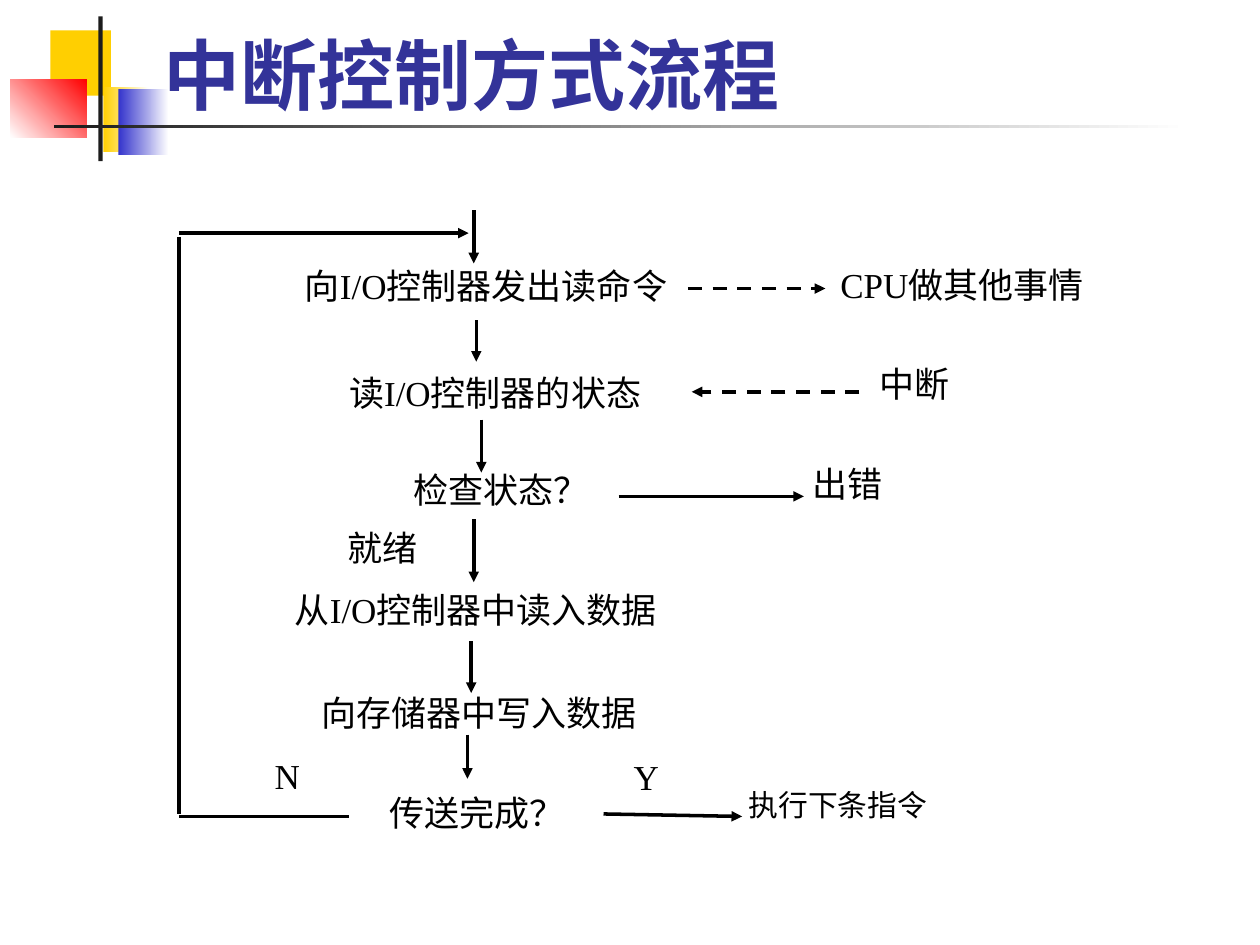
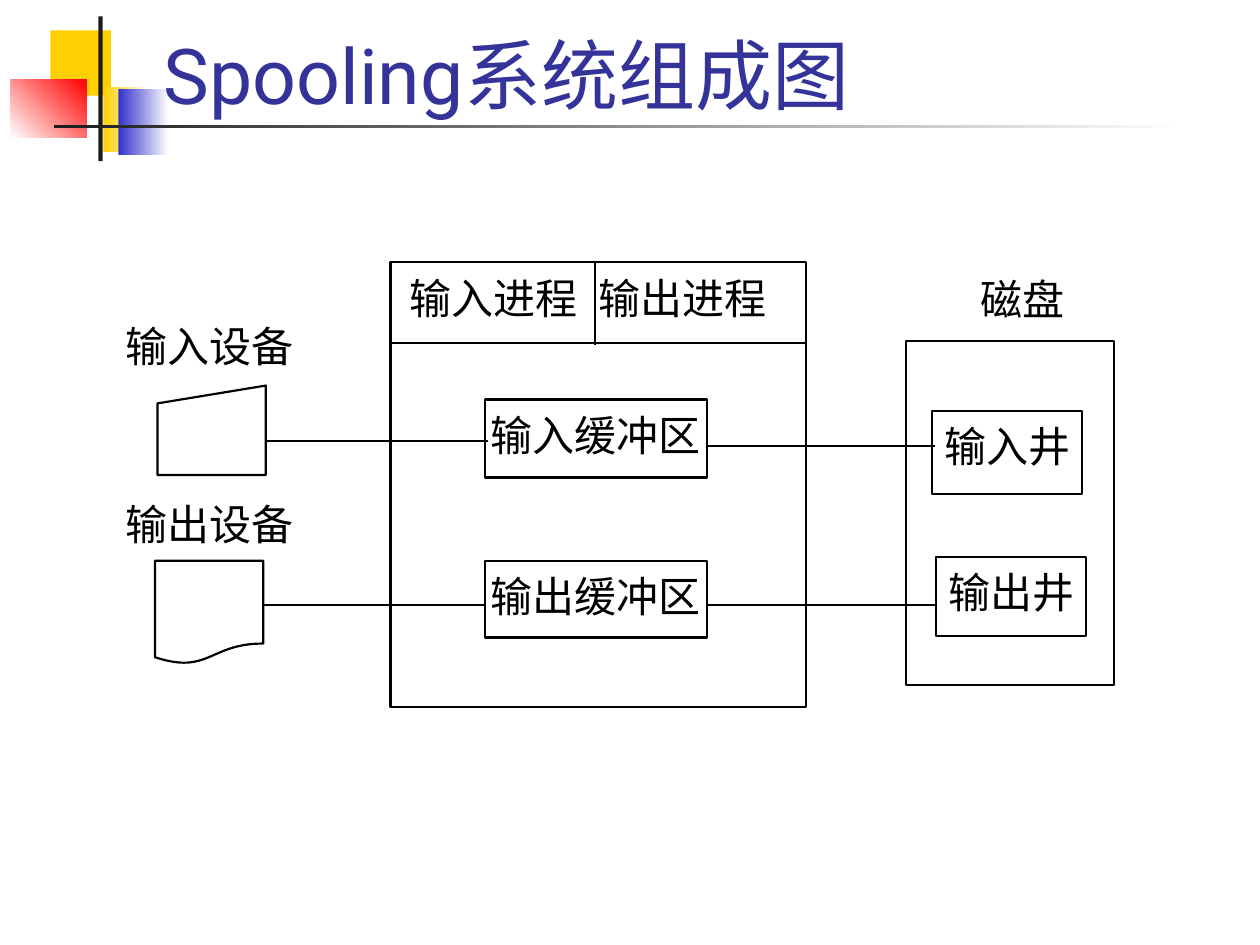
from dataclasses import dataclass
from typing import Optional

from lxml.etree import SubElement
from pptx import Presentation
from pptx.dml.color import RGBColor as RGB
from pptx.enum.dml import MSO_LINE as Dash
from pptx.enum.shapes import MSO_CONNECTOR as Conn, MSO_SHAPE as Geo
from pptx.enum.text import MSO_ANCHOR as Anchor, MSO_AUTO_SIZE as Auto, PP_ALIGN as Align
from pptx.oxml.ns import qn
from pptx.util import Inches, Pt

# The slide is a grid of 100 columns by 75 rows of square cells
WIDE, HIGH = Inches(10), Inches(7.5)
CELL = WIDE / 100
HEX = {"ink": "000000", "paper": "FFFFFF", "title": "333399", "gold": "FFCF01",
       "blue": "3333CC", "red": "FF0000", "bar": "1C1C1C"}
HEAD, BODY = "Roboto", "Times New Roman"


@dataclass
class Band:
    x: float
    y: float
    w: float
    h: float
    tone: str
    fade: Optional[str] = None
    turn: int = 0


@dataclass
class Label:
    x: float
    y: float
    w: float
    h: float
    text: str
    size: int = 20
    lead: Optional[float] = None


@dataclass
class Box:
    x: float
    y: float
    w: float
    h: float
    text: str = ""
    geo: Geo = Geo.RECTANGLE
    tabs: tuple = ()


@dataclass
class Wire:
    x1: float
    y1: float
    x2: float
    y2: float
    tip: bool = False
    dash: bool = False
    thick: float = 2


BANDS = [
    Band(4, 2.4, 4.8, 5.2, "gold"),
    Band(8.2, 6.9, 3.6, 5.2, "gold", "paper"),
    Band(9.4, 7.1, 4, 5.2, "blue", "paper"),
    Band(0.8, 6.3, 6.1, 4.6, "paper", "red", 45),
    Band(7.8, 1.3, 0.35, 11.5, "bar"),
    Band(4.3, 9.9, 90, 0.3, "bar", "paper"),
]

# Slide 1: steps, side notes and the arrows between them
STEPS = [
    Label(24.2, 21, 31.6, 3.9, "向I/O控制器发出读命令"),
    Label(27.7, 29.5, 28.2, 4, "读I/O控制器的状态"),
    Label(32.8, 37.2, 16.4, 4.1, "检查状态？"),
    Label(23.4, 46.7, 31.6, 4.4, "从I/O控制器中读入数据"),
    Label(25.5, 54.9, 27, 5, "向存储器中写入数据"),
    Label(30.9, 62.8, 15, 3.9, "传送完成？"),
]
NOTES = [
    Label(66.7, 20.9, 28.3, 4, "CPU做其他事情"),
    Label(69.8, 28.8, 8.8, 4.7, "中断"),
    Label(64.5, 36.7, 9.8, 4.7, "出错"),
    Label(27.6, 41.8, 8.4, 4.4, "就绪"),
    Label(21.8, 59.9, 4.3, 5.1, "N"),
    Label(50.3, 60, 4.3, 4.7, "Y"),
    Label(59.4, 62.8, 23.8, 2.9, "执行下条指令", 17, 0.9),
]
DOWNS = [(37.6, 16.7, 20.9), (37.8, 25.4, 28.7), (38.2, 33.3, 37.5),
         (37.6, 41.2, 46.2), (37.4, 50.9, 55), (37.1, 58.3, 61.8)]
FLOWS = [Wire(x, top, x, low, tip=True) for x, top, low in DOWNS] + [
    Wire(54.6, 22.9, 65.5, 22.9, tip=True, dash=True),
    Wire(68.2, 31.1, 54.9, 31.1, tip=True, dash=True),
    Wire(49.1, 39.4, 63.8, 39.4, tip=True),
    Wire(47.9, 64.6, 58.9, 64.8, tip=True),
    # Loop back to the first step
    Wire(27.7, 64.8, 14.2, 64.8),
    Wire(14.2, 18.8, 14.2, 64.6),
    Wire(14.2, 18.5, 37.2, 18.5, tip=True),
]

# Slide 2: devices, memory and disk
BOXES = [
    Box(31, 20.8, 33, 35.3, "输入进程\t输出进程", tabs=(1.5, 18.6)),
    Box(38.5, 31.7, 17.6, 6.2, "输入缓冲区"),
    Box(38.5, 44.5, 17.6, 6.1, "输出缓冲区"),
    Box(12.5, 30.6, 8.6, 7.1, geo=Geo.FLOWCHART_MANUAL_INPUT),
    Box(12.3, 44.5, 8.6, 8.2, geo=Geo.FLOWCHART_DOCUMENT),
    Box(71.9, 27.1, 16.5, 27.3),
    Box(74, 32.6, 11.9, 6.6, "输入井"),
    Box(74.3, 44.2, 11.9, 6.3, "输出井"),
]
NAMES = [
    Label(10, 25.4, 13.6, 4.6, "输入设备", 24),
    Label(10, 39.6, 13.6, 5.1, "输出设备", 24),
    Label(77.8, 21.7, 9.7, 5.1, "磁盘", 24),
]
LINKS = [Wire(*ends, thick=1.25) for ends in (
    (31, 27.2, 63.9, 27.2), (47.2, 20.8, 47.2, 27.4),
    (21.1, 35, 38.7, 35), (20.9, 48, 38.5, 48),
    (56.1, 35.4, 74.2, 35.4), (56, 48, 74.3, 48))]


def grid(*cells: float) -> list:
    return [round(n * CELL) for n in cells]


def tint(name: str) -> RGB:
    return RGB.from_string(HEX[name])


def write(para, text: str, size: int, face: str, tone: str, bold: bool = False) -> None:
    run = para.add_run()
    run.text = text
    font = run.font
    font.size, font.name, font.bold = Pt(size), face, bold
    font.color.rgb = tint(tone)


def inset(frame, top: float = 0) -> None:
    frame.word_wrap = True
    frame.vertical_anchor = Anchor.TOP
    frame.margin_left = frame.margin_right = frame.margin_bottom = 0
    frame.margin_top = Inches(top)


def add_band(slide, band: Band):
    shape = slide.shapes.add_shape(
        Geo.RECTANGLE, *grid(band.x, band.y, band.w, band.h))
    shape.shadow.inherit = False
    shape.line.fill.background()
    fill = shape.fill
    if band.fade:
        fill.gradient()
        fill.gradient_angle = band.turn
        for stop, tone, spot in zip(fill.gradient_stops, (band.tone, band.fade), (0, 1)):
            stop.color.rgb, stop.position = tint(tone), spot
    else:
        fill.solid()
        fill.fore_color.rgb = tint(band.tone)
    return shape


def add_label(slide, label: Label) -> None:
    frame = slide.shapes.add_textbox(
        *grid(label.x, label.y, label.w, label.h)).text_frame
    inset(frame)
    para = frame.paragraphs[0]
    para.alignment = Align.JUSTIFY
    if label.lead:
        para.line_spacing = label.lead
    write(para, label.text, label.size, BODY, "ink")


def add_box(slide, box: Box) -> None:
    shape = slide.shapes.add_shape(box.geo, *grid(box.x, box.y, box.w, box.h))
    shape.shadow.inherit = False
    shape.fill.solid()
    shape.fill.fore_color.rgb = tint("paper")
    shape.line.color.rgb = tint("ink")
    shape.line.width = Pt(1.25)
    if not box.text:
        return
    frame = shape.text_frame
    inset(frame, 0.08)
    para = frame.paragraphs[0]
    para.alignment = Align.CENTER
    if box.tabs:
        # Indent the first word and set a tab stop for the second
        para.alignment = Align.LEFT
        left, stop = grid(*box.tabs)
        props = para._p.get_or_add_pPr()
        props.set("marL", str(left))
        props.set("indent", "0")
        tabs = SubElement(props, qn("a:tabLst"))
        SubElement(tabs, qn("a:tab"), pos=str(stop), algn="l")
    write(para, box.text, 24, BODY, "ink")


def add_wire(slide, wire: Wire) -> None:
    link = slide.shapes.add_connector(
        Conn.STRAIGHT, *grid(wire.x1, wire.y1, wire.x2, wire.y2))
    link.line.color.rgb = tint("ink")
    link.line.width = Pt(wire.thick)
    if wire.dash:
        link.line.dash_style = Dash.DASH
    props = link.element.spPr
    if wire.tip:
        SubElement(props.find(qn("a:ln")), qn("a:tailEnd"), type="triangle")
    SubElement(props, qn("a:effectLst"))


def add_slide(deck, title: str, bold: bool = False):
    slide = deck.slides.add_slide(deck.slide_layouts[5])
    head = slide.shapes.title
    head.left, head.top, head.width, head.height = grid(12, 1.7, 85.2, 8.3)
    frame = head.text_frame
    frame.auto_size = Auto.NONE
    frame.vertical_anchor = Anchor.BOTTOM
    para = frame.paragraphs[0]
    para.alignment = Align.LEFT
    write(para, title, 44, HEAD, "title", bold)
    return slide


def main() -> None:
    deck = Presentation()
    deck.slide_width, deck.slide_height = WIDE, HIGH

    flow = add_slide(deck, "中断控制方式流程", bold=True)
    # Shared bands move to the master, behind every slide
    tree = deck.slide_master.shapes.element
    for band in BANDS:
        tree.append(add_band(flow, band).element)
    for label in STEPS + NOTES:
        add_label(flow, label)
    for wire in FLOWS:
        add_wire(flow, wire)

    spool = add_slide(deck, "Spooling系统组成图")
    for box in BOXES:
        add_box(spool, box)
    for label in NAMES:
        add_label(spool, label)
    for wire in LINKS:
        add_wire(spool, wire)

    deck.save("out.pptx")


if __name__ == "__main__":
    main()
